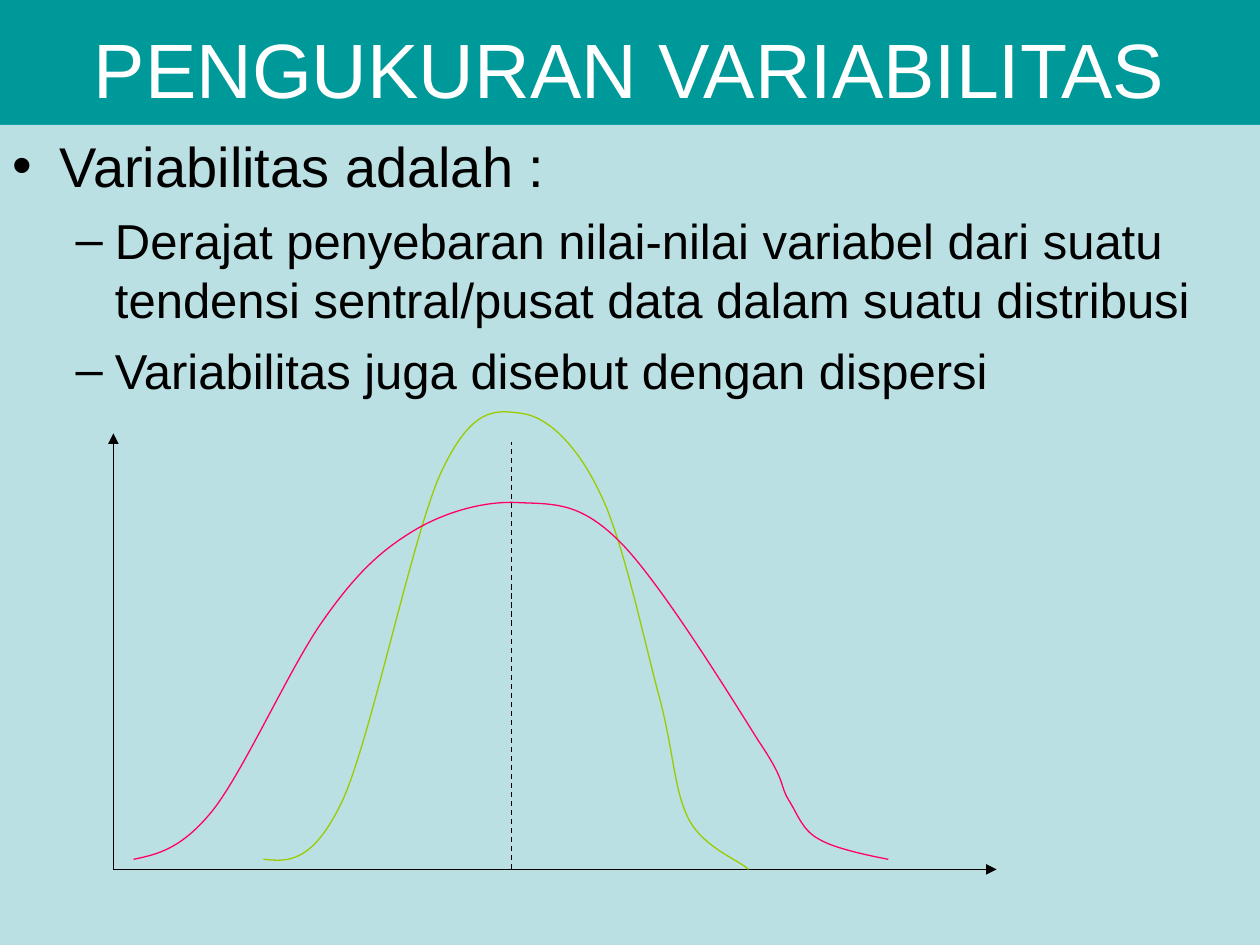
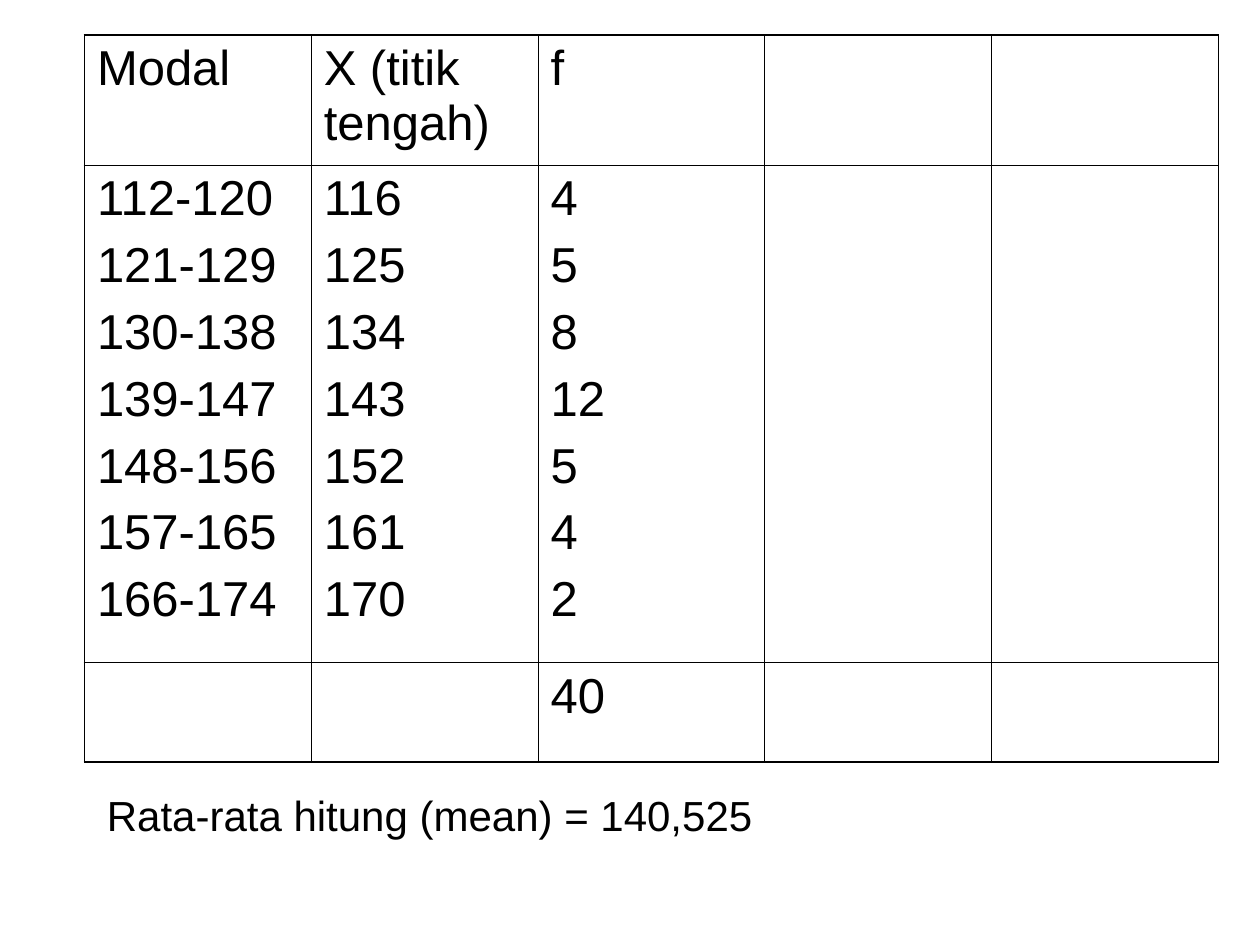
from itertools import product

from lxml.etree import SubElement
from pptx import Presentation
from pptx.dml.color import RGBColor
from pptx.enum.dml import MSO_LINE
from pptx.enum.shapes import MSO_CONNECTOR
from pptx.enum.text import MSO_ANCHOR, MSO_AUTO_SIZE, PP_ALIGN
from pptx.oxml import parse_xml
from pptx.oxml.ns import nsdecls, qn
from pptx.util import Inches, Pt

WIDE, HIGH = 10, 7.5
FONT = "Arial"
BLACK, WHITE, TEAL, PALE = "000000", "FFFFFF", "009999", "BBE0E3"

TITLE = "PENGUKURAN VARIABILITAS"
POINTS = [  # level, size, space before, text
    (0, 32, 8, "Variabilitas adalah :"),
    (1, 28, 7, "Derajat penyebaran nilai-nilai variabel dari suatu "
               "tendensi sentral/pusat data dalam suatu distribusi"),
    (1, 28, 7, "Variabilitas juga disebut dengan dispersi"),
]

ORIGIN = 0.9, 6.9
AXES = [(7.91, ORIGIN[1]), (ORIGIN[0], 3.44)]
MEAN_X, MEAN_TOP = 4.06, 3.51

# Each curve: a start point, then two control points and an end per segment
CURVES = {
    "99CC00": [
        (2.09, 6.82),
        (2.28, 6.84), (2.48, 6.86), (2.72, 6.35),
        (2.95, 5.84), (3.27, 4.26), (3.5, 3.75),
        (3.74, 3.24), (3.92, 3.25), (4.13, 3.28),
        (4.34, 3.3), (4.58, 3.53), (4.76, 3.91),
        (4.95, 4.29), (5.12, 5.13), (5.24, 5.56),
        (5.35, 5.99), (5.35, 6.28), (5.47, 6.51),
        (5.59, 6.73), (5.87, 6.83), (5.94, 6.9),
    ],
    "FF0066": [
        (1.06, 6.82),
        (1.25, 6.78), (1.44, 6.74), (1.69, 6.43),
        (1.94, 6.11), (2.3, 5.3), (2.56, 4.93),
        (2.82, 4.56), (3.01, 4.38), (3.27, 4.22),
        (3.53, 4.06), (3.86, 3.97), (4.13, 3.99),
        (4.41, 4), (4.61, 3.99), (4.92, 4.3),
        (5.24, 4.62), (5.8, 5.53), (6.02, 5.88),
        (6.25, 6.22), (6.18, 6.22), (6.26, 6.35),
        (6.34, 6.48), (6.37, 6.59), (6.5, 6.66),
        (6.63, 6.74), (6.95, 6.8), (7.05, 6.82),
    ],
}

HEADS = ["Modal", "X (titik tengah)", "f", "", ""]
DATA = [
    ("112-120", 116, 4),
    ("121-129", 125, 5),
    ("130-138", 134, 8),
    ("139-147", 143, 12),
    ("148-156", 152, 5),
    ("157-165", 161, 4),
    ("166-174", 170, 2),
]
TOTAL = sum(row[-1] for row in DATA)
ROWS = [1.03, 3.95, 0.79]
COL = 1.8
THIN, THICK = 0.45, 1.08
MEAN = "Rata-rata hitung (mean) = 140,525"


def rgb(code):
    return RGBColor.from_string(code)


def inch(*nums):
    return [Inches(n) for n in nums]


def place(shape, *box):
    shape.left, shape.top, shape.width, shape.height = inch(*box)


def paint(shape, color):
    shape.fill.solid()
    shape.fill.fore_color.rgb = rgb(color)


def write(frame, lines, color=BLACK, align=None):
    """Fill a text frame from (level, size, space before, text) tuples."""
    for i, (level, size, gap, text) in enumerate(lines):
        para = frame.add_paragraph() if i else frame.paragraphs[0]
        para.level, para.space_before = level, Pt(gap)
        para.alignment = align
        run = para.add_run()
        run.text = text
        run.font.name, run.font.size = FONT, Pt(size)
        run.font.color.rgb = rgb(color)


def stroke(shape, color):
    shape.line.color.rgb = rgb(color)
    shape.line.width = Pt(0.75)


def add_line(slide, start, end, arrow=False):
    line = slide.shapes.add_connector(
        MSO_CONNECTOR.STRAIGHT, *inch(*start, *end))
    stroke(line, BLACK)
    if arrow:
        SubElement(line.line._get_or_add_ln(), qn("a:tailEnd"), type="triangle")
    else:
        line.line.dash_style = MSO_LINE.DASH
    SubElement(line._element.spPr, qn("a:effectLst"))


def add_curve(slide, color, dots):
    """Draw an open outline and turn each three straight steps into a Bézier."""
    first, *rest = [inch(*dot) for dot in dots]
    pen = slide.shapes.build_freeform(*first)
    pen.add_line_segments(rest, close=False)
    curve = pen.convert_to_shape()
    curve.shadow.inherit = False
    curve.fill.background()
    stroke(curve, color)
    steps = list(curve._element.iter(qn("a:lnTo")))
    track = steps[0].getparent()
    for i in range(0, len(steps), 3):
        bend = SubElement(track, qn("a:cubicBezTo"))
        for step in steps[i:i + 3]:
            bend.append(step[0])
            track.remove(step)


def set_edges(cell, widths):
    """Set the cell's left, right, top and bottom borders, in points."""
    props = cell._tc.get_or_add_tcPr()
    for i, (side, width) in enumerate(zip("LRTB", widths)):
        props.insert(i, parse_xml(
            f'<a:ln{side} {nsdecls("a")} w="{Pt(width)}"><a:solidFill>'
            f'<a:srgbClr val="{BLACK}"/></a:solidFill></a:ln{side}>'))


def add_spread(deck):
    slide = deck.slides.add_slide(deck.slide_layouts[1])
    title, body = slide.placeholders
    place(title, 0, 0, WIDE, 1.07)
    place(body, 0, 0.99, WIDE, HIGH - 0.99)
    for box, color in (title, TEAL), (body, PALE):
        paint(box, color)
        box.text_frame.auto_size = MSO_AUTO_SIZE.NONE
    title.text_frame.vertical_anchor = MSO_ANCHOR.MIDDLE
    write(title.text_frame, [(0, 44, 0, TITLE)], WHITE, PP_ALIGN.CENTER)
    write(body.text_frame, POINTS)
    for end in AXES:
        add_line(slide, ORIGIN, end, arrow=True)
    add_line(slide, (MEAN_X, ORIGIN[1]), (MEAN_X, MEAN_TOP))
    for color, dots in CURVES.items():
        add_curve(slide, color, dots)


def add_data(deck):
    slide = deck.slides.add_slide(deck.slide_layouts[6])
    cols = len(HEADS)
    table = slide.shapes.add_table(
        len(ROWS), cols, *inch(0.67, 0.28, COL * cols, sum(ROWS))).table
    table.first_row = table.horz_banding = False
    for row, high in zip(table.rows, ROWS):
        row.height = Inches(high)
    for col in table.columns:
        col.width = Inches(COL)

    texts = {(0, c): [head] for c, head in enumerate(HEADS) if head}
    texts |= {(1, c): vals for c, vals in enumerate(zip(*DATA))}
    texts[2, 2] = [TOTAL]
    for r, c in product(range(len(ROWS)), range(cols)):
        cell = table.cell(r, c)
        cell.fill.background()
        outer = c == 0, c == cols - 1, r == 0, r == len(ROWS) - 1
        set_edges(cell, [THICK if edge else THIN for edge in outer])
        write(cell.text_frame,
              [(0, 28, 7, str(text)) for text in texts.get((r, c), [])])

    note = slide.shapes.add_textbox(*inch(0.75, 6.22, 8.74, 0.5)).text_frame
    note.word_wrap = True
    write(note, [(0, 24, 15, MEAN)])


def main():
    deck = Presentation()
    deck.slide_width, deck.slide_height = inch(WIDE, HIGH)
    add_spread(deck)
    add_data(deck)
    deck.save("out.pptx")


if __name__ == "__main__":
    main()
